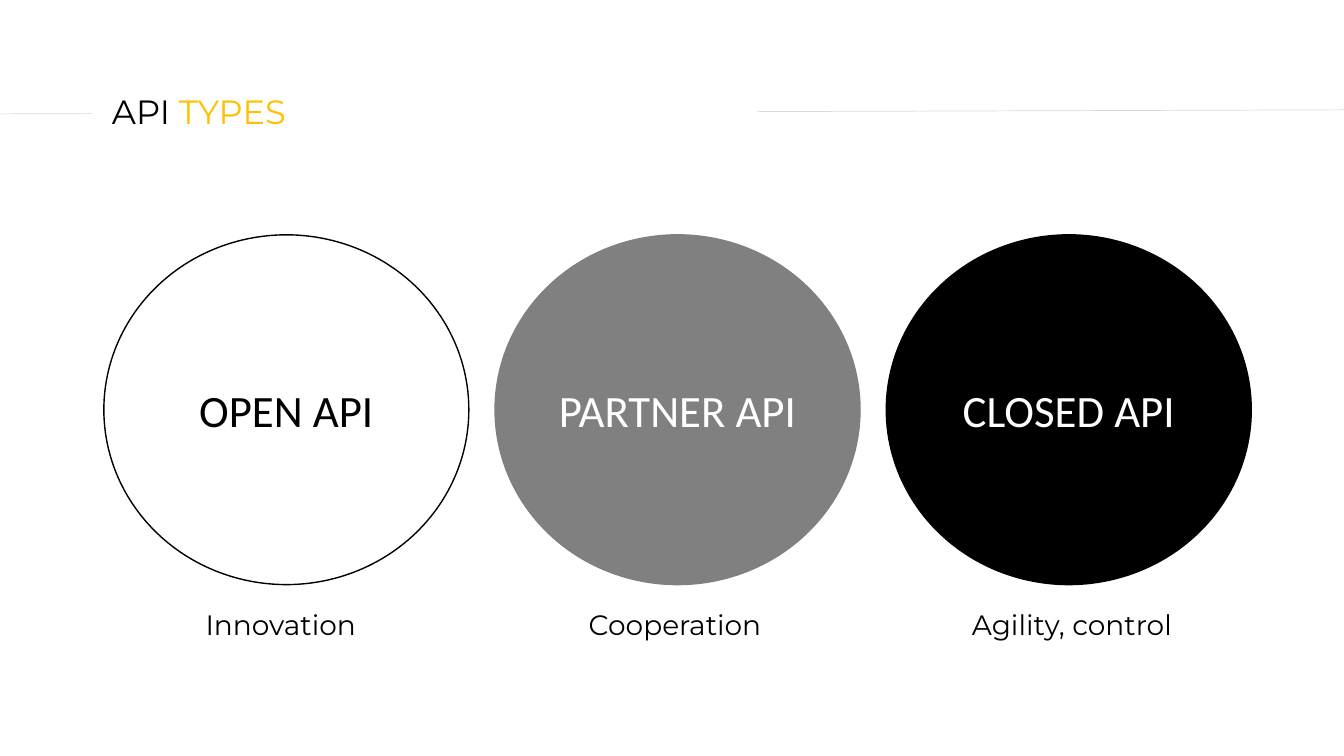
from lxml import etree
from pptx import Presentation
from pptx.dml.color import RGBColor
from pptx.enum.shapes import MSO_CONNECTOR, MSO_SHAPE
from pptx.enum.text import MSO_ANCHOR, PP_ALIGN
from pptx.oxml.ns import qn
from pptx.util import Inches, Pt

BLACK, WHITE, GREY, AMBER, RULE = "000000", "FFFFFF", "808080", "FFC000", "D9D9D9"

API_TYPES = [
    ("OPEN API", "Innovation", WHITE, BLACK, BLACK),
    ("PARTNER API", "Cooperation", GREY, GREY, WHITE),
    ("CLOSED API", "Agility, control", BLACK, BLACK, WHITE),
]
CIRCLE_PITCH = 3.88
CAPTION_PITCH = 3.8


def color(hex_code):
    """Turn a hex string into a colour."""
    return RGBColor.from_string(hex_code)


def style(font, name, size, hex_code):
    """Set the face, size and colour of a font."""
    font.name = name
    font.size = Pt(size)
    font.color.rgb = color(hex_code)


def add_heading(slide, left, top, width, height):
    """Draw the heading on a white panel that interrupts the rule."""
    rule = slide.shapes.add_connector(
        MSO_CONNECTOR.STRAIGHT, 0, Inches(1.13), Inches(13.33), Inches(1.09))
    rule.line.color.rgb = color(RULE)
    rule.line.width = Pt(0.5)
    etree.SubElement(rule._element.spPr, qn("a:effectLst"))

    heading = slide.shapes.add_textbox(
        Inches(left), Inches(top), Inches(width), Inches(height))
    heading.fill.solid()
    heading.fill.fore_color.rgb = color(WHITE)
    frame = heading.text_frame
    frame.word_wrap = True
    frame.vertical_anchor = MSO_ANCHOR.MIDDLE
    frame.margin_left = Inches(0.19)
    paragraph = frame.paragraphs[0]
    paragraph.line_spacing = 0.9
    for text, hex_code in (("API ", BLACK), ("TYPES", AMBER)):
        run = paragraph.add_run()
        run.text = text
        style(run.font, "Montserrat", 24, hex_code)


def add_circle(slide, left, top, width, height, name, fill, outline, ink):
    """Draw one API type as a labelled circle."""
    circle = slide.shapes.add_shape(
        MSO_SHAPE.OVAL, Inches(left), Inches(top), Inches(width), Inches(height))
    circle.shadow.inherit = False
    circle.fill.solid()
    circle.fill.fore_color.rgb = color(fill)
    circle.line.color.rgb = color(outline)
    circle.line.width = Pt(1)
    frame = circle.text_frame
    frame.word_wrap = True
    frame.vertical_anchor = MSO_ANCHOR.MIDDLE
    paragraph = frame.paragraphs[0]
    paragraph.text = name
    paragraph.alignment = PP_ALIGN.CENTER
    style(paragraph.font, "Calibri", 32, ink)


def add_caption(slide, left, top, width, height, benefit):
    """Write the benefit of one API type."""
    caption = slide.shapes.add_textbox(
        Inches(left), Inches(top), Inches(width), Inches(height))
    caption.text_frame.word_wrap = True
    paragraph = caption.text_frame.paragraphs[0]
    paragraph.text = benefit
    style(paragraph.font, "Montserrat", 20, BLACK)


def main():
    """Build the slide and save it."""
    deck = Presentation()
    deck.slide_width = Inches(13.33)
    deck.slide_height = Inches(7.5)
    slide = deck.slides.add_slide(deck.slide_layouts[6])
    add_heading(slide, 0.92, 0.4, 6.59, 1.45)
    for index, (name, benefit, fill, outline, ink) in enumerate(API_TYPES):
        add_circle(slide, 1.03 + index * CIRCLE_PITCH, 2.33, 3.62, 3.47,
                   name, fill, outline, ink)
        add_caption(slide, 1.94 + index * CAPTION_PITCH, 5.98, 2.84, 0.44, benefit)
    deck.save("out.pptx")


if __name__ == "__main__":
    main()
